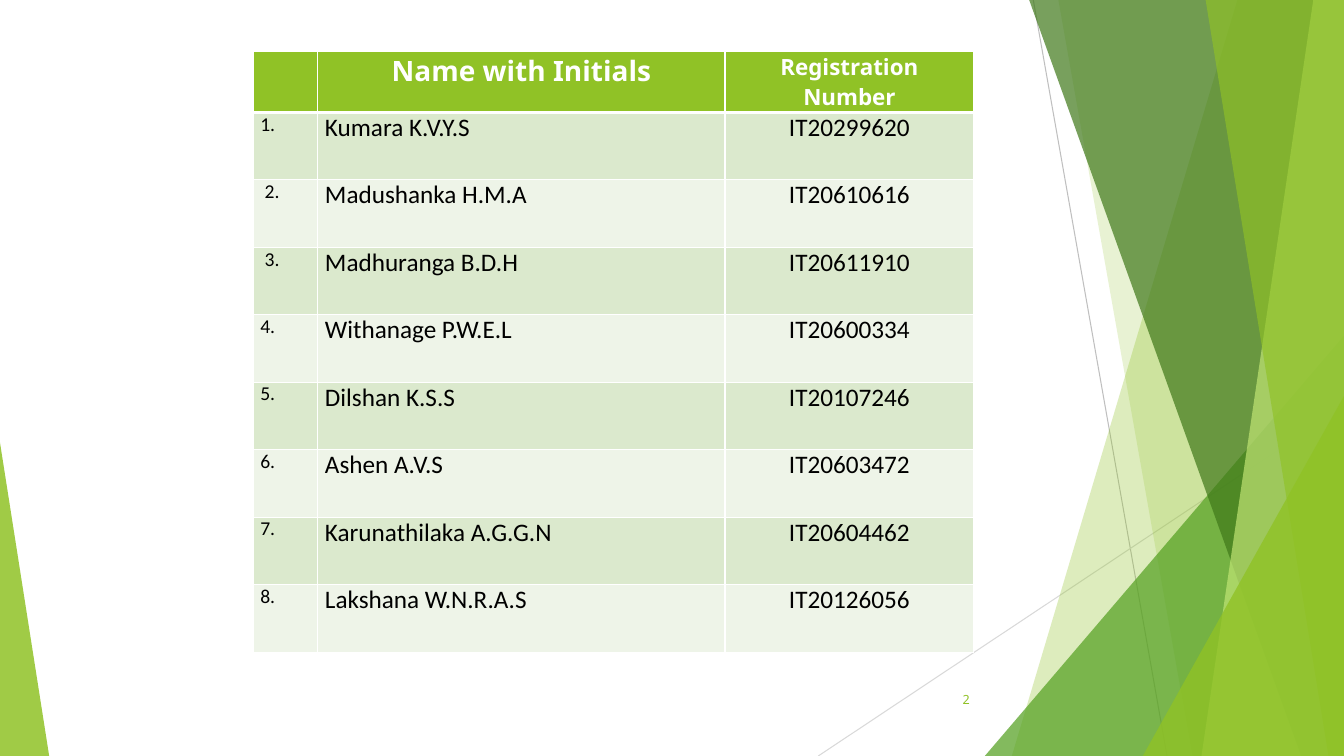
import pptx
import pptx.dml.color
import pptx.enum.shapes
import pptx.enum.text
import pptx.oxml
import pptx.oxml.ns
import pptx.util
from pptx.util import Cm

WIDTH, HEIGHT = 33.87, 19.05
GREEN, WHITE, BLACK = "90C226", "FFFFFF", "000000"
BANDS = ("DBE9CD", "EEF4E8")
ALIGN = pptx.enum.text.PP_ALIGN
SHAPES = pptx.enum.shapes.MSO_SHAPE
NAMESPACE = pptx.oxml.ns.nsdecls("a")


def rgb(value):
    """Turn a hex string into a colour."""
    return pptx.dml.color.RGBColor.from_string(value)


class SlideBuilder:
    """Hold the text styles and the current slide."""

    styles = {
        "heading": {"name": "Noto Sans", "size": 20, "bold": True, "color": WHITE},
        "subheading": {"name": "Noto Sans", "size": 16, "bold": True, "color": WHITE},
        "number": {"name": "Calibri", "size": 14, "bold": False, "color": BLACK},
        "body": {"name": "Calibri", "size": 18, "bold": False, "color": BLACK},
        "page": {"name": "Noto Sans", "size": 9, "bold": False, "color": GREEN},
    }

    def __init__(self, slide):
        """Keep the slide that the methods draw on."""
        self.slide = slide

    def add_text(self, frame, text, style, align):
        """Put one formatted paragraph into a text frame."""
        para = frame.paragraphs[0]
        para.alignment = align
        span = para.add_run()
        span.text = text
        for key, value in self.styles[style].items():
            if key == "color":
                span.font.color.rgb = rgb(value)
            else:
                setattr(span.font, key, pptx.util.Pt(value) if key == "size" else value)

    def paint(self, shape, color, opacity):
        """Give a shape a translucent fill with no outline or shadow."""
        shape.shadow.inherit = False
        shape.line.fill.background()
        shape.fill.solid()
        shape.fill.fore_color.rgb = rgb(color)
        alpha = pptx.oxml.parse_xml(f'<a:alpha {NAMESPACE} val="{opacity * 1000}"/>')
        shape._element.spPr.find(".//" + pptx.oxml.ns.qn("a:srgbClr")).append(alpha)

    def line(self, start, end, color):
        """Draw a thin straight line."""
        connector = self.slide.shapes.add_connector(
            pptx.enum.shapes.MSO_CONNECTOR.STRAIGHT, *map(Cm, start + end))
        connector.line.color.rgb = rgb(color)
        connector.line.width = pptx.util.Pt(0.75)
        connector._element.spPr.append(pptx.oxml.parse_xml(f"<a:effectLst {NAMESPACE}/>"))

    def panel(self, top_x, bottom_x, color, opacity):
        """Draw a full-height panel from a slanted edge to the right side."""
        builder = self.slide.shapes.build_freeform(Cm(top_x), Cm(-0.02))
        corners = [(WIDTH, -0.02), (WIDTH, HEIGHT), (bottom_x, HEIGHT)]
        builder.add_line_segments([(Cm(x), Cm(y)) for x, y in corners], close=True)
        self.paint(builder.convert_to_shape(), color, opacity)

    def triangle(self, left, top, width, apex, color, opacity):
        """Draw a triangle standing on the bottom edge of the slide."""
        shape = self.slide.shapes.add_shape(
            SHAPES.ISOSCELES_TRIANGLE, Cm(left), Cm(top), Cm(width), Cm(HEIGHT - top))
        shape.adjustments[0] = apex
        self.paint(shape, color, opacity)

    def cell(self, cell, text, style, align, fill, borders):
        """Format one table cell; borders maps each side to a width in points."""
        properties = cell._tc.get_or_add_tcPr()
        for side, width in borders.items():
            properties.append(pptx.oxml.parse_xml(
                f'<a:ln{side} {NAMESPACE} w="{width * 12700}"><a:solidFill>'
                f'<a:srgbClr val="{WHITE}"/></a:solidFill></a:ln{side}>'))
        cell.fill.solid()
        cell.fill.fore_color.rgb = rgb(fill)
        margins = {"margin_left": 0.18, "margin_right": 0.18,
                   "margin_top": 0, "margin_bottom": 0}
        for name, value in margins.items():
            setattr(cell, name, Cm(value))
        if text:
            self.add_text(cell.text_frame, text, style, align)

    def table(self, left, top, widths, header_height, row_height, rows):
        """Draw a banded table whose first row is the header."""
        heights = [header_height] + [row_height] * (len(rows) - 1)
        table = self.slide.shapes.add_table(
            len(rows), len(widths), Cm(left), Cm(top),
            Cm(sum(widths)), Cm(sum(heights))).table
        for column, width in zip(table.columns, widths):
            column.width = Cm(width)
        for index, (values, height) in enumerate(zip(rows, heights)):
            table.rows[index].height = Cm(height)
            if index == 0:
                styles, fill = ("number", "heading", "subheading"), GREEN
                aligns = (ALIGN.CENTER,) * 3
            else:
                styles, fill = ("number", "body", "body"), BANDS[(index - 1) % 2]
                aligns = (ALIGN.LEFT, ALIGN.LEFT, ALIGN.CENTER)
            borders = {"L": 1, "R": 1, "T": 3 if index == 1 else 1,
                       "B": 3 if index == 0 else 1}
            for column, (text, style, align) in enumerate(zip(values, styles, aligns)):
                self.cell(table.cell(index, column), text, style, align, fill, borders)

    def page_number(self, left, top, width, height, text):
        """Put the page number in a small box."""
        box = self.slide.shapes.add_textbox(Cm(left), Cm(top), Cm(width), Cm(height))
        box.text_frame.word_wrap = True
        box.text_frame.vertical_anchor = pptx.enum.text.MSO_ANCHOR.MIDDLE
        self.add_text(box.text_frame, text, "page", ALIGN.RIGHT)


MEMBERS = [
    ("1.", "Kumara K.V.Y.S", "IT20299620"),
    ("\u00a02.", "Madushanka H.M.A", "IT20610616"),
    ("\u00a03.", "Madhuranga B.D.H", "IT20611910"),
    ("4.\u00a0", "Withanage P.W.E.L", "IT20600334"),
    ("5.\u00a0", "Dilshan K.S.S", "IT20107246"),
    ("6.\u00a0", "Ashen A.V.S", "IT20603472"),
    ("7.\u00a0", "Karunathilaka A.G.G.N", "IT20604462"),
    ("8.\u00a0", "Lakshana W.N.R.A.S", "IT20126056"),
]

deck = pptx.Presentation()
deck.slide_width, deck.slide_height = Cm(WIDTH), Cm(HEIGHT)
page = SlideBuilder(deck.slides.add_slide(deck.slide_layouts[6]))

page.line((26.04, 0), (29.41, HEIGHT), "BFBFBF")
page.line((WIDTH, 10.24), (20.62, HEIGHT), "D9D9D9")
page.panel(31.19, 25.5, GREEN, 30)
page.panel(26.67, 30.05, GREEN, 20)
page.triangle(24.82, 8.46, 9.05, 1, "54A021", 72)
page.panel(25.93, 32.79, "3F7819", 70)
page.panel(33.1, 30.28, "C0E474", 70)
page.panel(30.38, 33.48, GREEN, 65)
page.triangle(28.8, 9.98, 5.07, 1, GREEN, 80)
page.triangle(0, 11.15, 1.24, 0, GREEN, 85)

header = ("", "Name with Initials", "Registration Number")
page.table(6.38, 1.3, (1.63, 10.26, 6.27), 1.35, 1.7, [header] + MEMBERS)
page.page_number(23.67, 16.92, 1.02, 1.4, "2")

deck.save("out.pptx")
